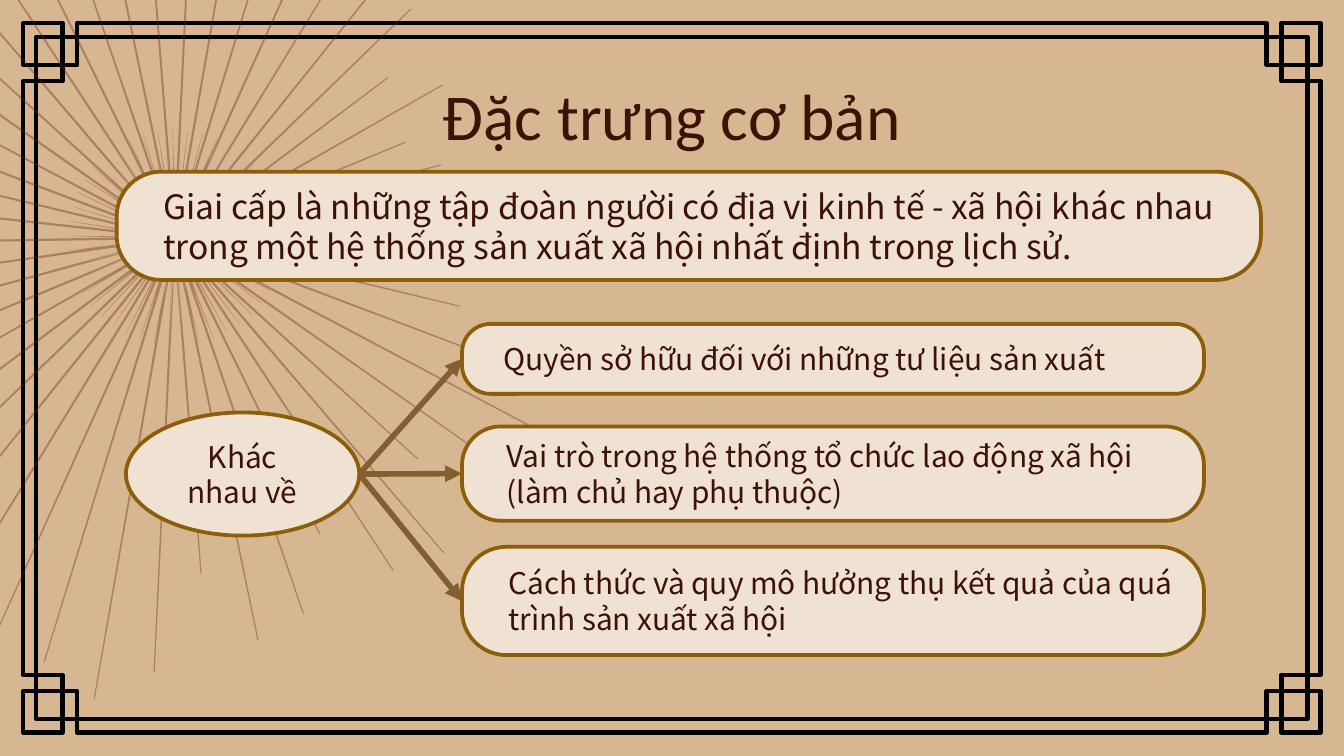
from dataclasses import dataclass
from math import cos, pi, sin

from lxml.etree import SubElement as Sub
from pptx import Presentation
from pptx.dml.color import RGBColor as Rgb
from pptx.enum.shapes import MSO_CONNECTOR as Conn, MSO_SHAPE as Kind
from pptx.enum.text import MSO_ANCHOR as Anchor, PP_ALIGN as Align
from pptx.oxml.ns import qn
from pptx.util import Pt


@dataclass(frozen=True)
class Theme:
    sand: Rgb = Rgb.from_string("D6B791")
    cream: Rgb = Rgb.from_string("EFE2D3")
    gold: Rgb = Rgb.from_string("8C5E0A")
    brown: Rgb = Rgb.from_string("835E31")
    ink: Rgb = Rgb.from_string("3E1106")
    rust: Rgb = Rgb.from_string("6E2311")
    black: Rgb = Rgb.from_string("000000")
    head: str = "Calibri"
    body: str = "Noto Sans CJK JP"
    big: int = 35
    mid: int = 18
    small: int = 16


T = Theme()
WIDE, HIGH = 720, 405
SUN = (93.6, 127.4)
# Lengths of the long rays, at equal angles
RAYS = [258, 213, 248, 263, 238, 266, 194, 290, 254, 290,
        219, 290, 188, 290, 215, 291, 249, 290, 235, 257,
        174, 290, 239, 290, 290, 240, 238, 251, 233, 181,
        220, 213, 177, 213, 222, 176, 215, 236, 197, 157,
        196, 143, 175, 148, 134, 165, 143, 176, 215, 179]
# Boxes on the right: top, height, text
ITEMS = [
    (173.5, 37.5, "Quyền sở hữu đối với những tư liệu sản xuất"),
    (228.5, 50.5, "Vai trò trong hệ thống tổ chức lao động xã hội "
                  "(làm chủ hay phụ thuộc)"),
    (293, 58, "Cách thức và quy mô hưởng thụ kết quả của quá trình "
              "sản xuất xã hội"),
]


def outline(slide, loops):
    """Draw closed loops of points as one freeform."""
    pen = None
    for loop in loops:
        spots = [(Pt(x), Pt(y)) for x, y in loop]
        if pen is None:
            pen = slide.shapes.build_freeform(*spots[0], scale=1.0)
        else:
            pen.move_to(*spots[0])
        pen.add_line_segments(spots[1:], close=True)
    shape = pen.convert_to_shape()
    shape.shadow.inherit = False
    return shape


def frame(slide):
    """Border that ties a knot in each corner, around a plain inner line."""
    knot = [(41.4, 12.5), (41.4, 34.8), (12.5, 34.8), (12.5, 12.5),
            (33.5, 12.5), (33.5, 43.5), (12.5, 43.5)]
    left = knot + [(x, HIGH - y) for x, y in reversed(knot)]
    right = [(WIDE - x, y) for x, y in reversed(left)]
    x, y = 19.5, 19.9
    inner = [(x, y), (WIDE - x, y), (WIDE - x, HIGH - y), (x, HIGH - y)]
    shape = outline(slide, [left + right, inner])
    shape.fill.background()
    shape.line.color.rgb = T.black
    shape.line.width = Pt(2.3)


def star(sizes, hub, start, tip):
    """Thin spikes at equal angles on a small hub."""
    step = 2 * pi / len(sizes)

    def spot(size, turn, side=0):
        return (SUN[0] + size * cos(turn) - side * sin(turn),
                SUN[1] + size * sin(turn) + side * cos(turn))

    loop = []
    for i, size in enumerate(sizes):
        turn = start - i * step
        loop += [spot(hub, turn + step / 2),
                 spot(size, turn, tip), spot(size, turn, -tip)]
    return loop


def sun(slide):
    long = star(RAYS, 10.5, -65.7 * pi / 180, 0.3)
    short = star([58] * 45, 5.5, -59 * pi / 180, 0.05)
    shape = outline(slide, [long, short])
    shape.fill.solid()
    shape.fill.fore_color.rgb = T.rust
    tint = shape.fill._xPr.find(qn("a:solidFill"))[0]
    Sub(tint, qn("a:alpha"), val="38000")
    shape.line.fill.background()


def write(shape, text, size, font, align):
    body = shape.text_frame
    body.word_wrap = True
    body.vertical_anchor = Anchor.MIDDLE
    body.text = text
    para = body.paragraphs[0]
    para.alignment = align
    face = para.runs[0].font
    face.size, face.name, face.color.rgb = Pt(size), font, T.ink
    return para


def title(slide, text):
    shape = slide.shapes.title
    shape.left, shape.top = Pt(56), Pt(42.5)
    shape.width, shape.height = Pt(608), Pt(37.5)
    body = shape.text_frame
    body.margin_left = body.margin_right = Pt(7.2)
    body.margin_top = body.margin_bottom = Pt(7.2)
    write(shape, text, T.big, T.head, Align.CENTER)


def bubble(slide, kind, box, text, size=T.small):
    shape = slide.shapes.add_shape(kind, *map(Pt, box))
    shape.shadow.inherit = False
    shape.fill.solid()
    shape.fill.fore_color.rgb = T.cream
    shape.line.color.rgb = T.gold
    shape.line.width = Pt(2)
    pill = kind == Kind.ROUNDED_RECTANGLE
    para = write(shape, text, size, T.body,
                 Align.LEFT if pill else Align.CENTER)
    if pill:
        shape.adjustments[0] = 0.41
        para._p.get_or_add_pPr().set("marL", str(Pt(10.8)))
    return shape


def arrow(slide, start, end):
    """Join the right side of one shape to the left side of another."""
    line = slide.shapes.add_connector(Conn.STRAIGHT, 0, 0, 0, 0)
    line.begin_x = start.left + start.width
    line.begin_y = start.top + start.height // 2
    line.end_x = end.left
    line.end_y = end.top + end.height // 2
    line.line.color.rgb = T.brown
    line.line.width = Pt(3)
    Sub(line.line._get_or_add_ln(), qn("a:tailEnd"), type="triangle")
    Sub(line._element.spPr, qn("a:effectLst"))


def main():
    deck = Presentation()
    deck.slide_width, deck.slide_height = Pt(WIDE), Pt(HIGH)
    slide = deck.slides.add_slide(deck.slide_layouts[5])
    slide.background.fill.solid()
    slide.background.fill.fore_color.rgb = T.sand

    # Decoration
    frame(slide)
    sun(slide)

    # Title and definition
    title(slide, "Đặc trưng cơ bản")
    bubble(slide, Kind.ROUNDED_RECTANGLE, (62.5, 92, 613, 58),
           "Giai cấp là những tập đoàn người có địa vị kinh tế - xã hội "
           "khác nhau trong một hệ thống sản xuất xã hội nhất định "
           "trong lịch sử.", T.mid)

    # Three differences, joined to their hub
    pills = [bubble(slide, Kind.ROUNDED_RECTANGLE, (247.5, top, 397.5, high),
                    text) for top, high, text in ITEMS]
    hub = bubble(slide, Kind.OVAL, (67.5, 221, 125, 66), "Khác nhau về")
    for pill in pills:
        arrow(slide, hub, pill)

    deck.save("out.pptx")


if __name__ == "__main__":
    main()
